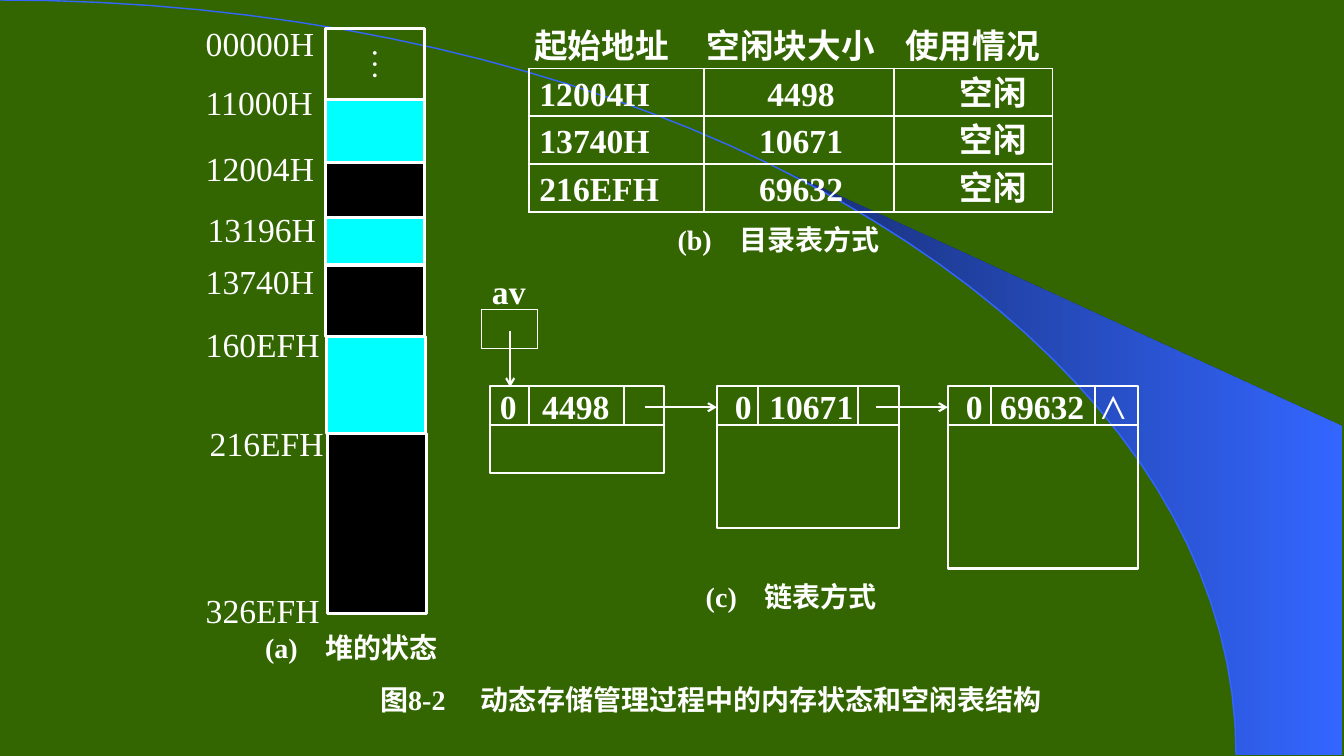
from itertools import pairwise
from lxml import etree
from pptx import Presentation, util as u
from pptx.dml.color import RGBColor
from pptx.enum import shapes, text
from pptx.oxml.ns import qn

COLORS = {"ground": "336600", "ink": "FFFFFF", "used": "00FFFF", "free": "000000",
          "arc": "3366FF", "shade": "182F76"}
COLORS = {role: RGBColor.from_string(value) for role, value in COLORS.items()}
CELL = u.Inches(0.1)
LEFT, CENTER = text.PP_ALIGN.LEFT, text.PP_ALIGN.CENTER
FRAME = {"margin_left": 0, "margin_right": 0, "margin_top": 0, "margin_bottom": 0,
         "vertical_anchor": text.MSO_ANCHOR.MIDDLE}
LABEL = {"size": u.Pt(24), "bold": False, "name": "Times New Roman"}
STRONG = LABEL | {"bold": True}
CAPTION = STRONG | {"size": u.Pt(20)}


def write(frame, content, font, align=LEFT, tabs=()):
    for key, value in (FRAME | {"word_wrap": True}).items():
        setattr(frame, key, value)
    line = frame.paragraphs[0]
    line.alignment = align
    run = line.add_run()
    run.text = content
    for key, value in font.items():
        setattr(run.font, key, value)
    run.font.color.rgb = COLORS["ink"]
    if tabs:
        stops = etree.SubElement(line._p.get_or_add_pPr(), qn("a:tabLst"))
        for tab in tabs:
            etree.SubElement(stops, qn("a:tab"), pos=str(int(tab * CELL)), algn="l")


def block(left, top, width, height, weight, color=None):
    area = slide.shapes.add_shape(shapes.MSO_SHAPE.RECTANGLE,
                                  *(int(n * CELL) for n in (left, top, width, height)))
    area.shadow.inherit = False
    area.line.color.rgb = COLORS["ink"]
    area.line.width = u.Pt(weight)
    if color:
        area.fill.solid()
        area.fill.fore_color.rgb = COLORS[color]
    else:
        area.fill.background()
    return area


deck = Presentation()
deck.slide_width, deck.slide_height = u.Inches(13.33), u.Inches(7.5)
slide = deck.slides.add_slide(deck.slide_layouts[5])
slide.background.fill.solid()
slide.background.fill.fore_color.rgb = COLORS["ground"]

arc = []
for step in range(41):
    t = step / 40
    s = 1 - t
    arc.append((3 * s * s * t * 67.7 + (3 * s * t * t + t ** 3) * 122.6,
                3 * s * t * t * 33.5 + t ** 3 * 74.9))
wedge = [(78.6, 17.3), *arc[18:], (133.1, 74.9), (133.1, 42.3)]
for outline, closed in ((wedge, True), (arc, False)):
    points = [(x * CELL, y * CELL) for x, y in outline]
    builder = slide.shapes.build_freeform(*points[0])
    builder.add_line_segments(points[1:], close=closed)
    sweep = builder.convert_to_shape()
    sweep.shadow.inherit = False
    if closed:
        sweep.line.fill.background()
        sweep.fill.gradient()
        sweep.fill.gradient_angle = 0
        for stop, role in zip(sweep.fill.gradient_stops, ("shade", "arc")):
            stop.color.rgb = COLORS[role]
    else:
        sweep.fill.background()
        sweep.line.color.rgb = COLORS["arc"]
        sweep.line.width = u.Pt(1)

heap_edges = [2.8, 9.9, 16.1, 21.6, 26.3, 33.4, 43, 60.9]
heap_lefts = [32.3] * 5 + [32.4, 32.5]
heap_states = [None] + ["used", "free"] * 3
for (top, bottom), left, state in zip(pairwise(heap_edges), heap_lefts, heap_states):
    segment = block(left, top, 9.8, bottom - top, 2.25, state)
    if state is None:
        write(segment.text_frame, "⋮", LABEL, CENTER)

addresses = [("00000H", 20.4, 2.1), ("11000H", 20.4, 8), ("12004H", 20.4, 14.5),
             ("13196H", 20.6, 20.6), ("13740H", 20.4, 25.7), ("160EFH", 20.4, 32),
             ("216EFH", 20.8, 41.8), ("326EFH", 20.4, 58.4)]
labels = [(name, left, top, 11.8, 4.3, LABEL, ()) for name, left, top in addresses]
labels += [("(a)\t堆的状态", 26.3, 62.3, 20, 3.9, CAPTION, [6]),
           ("(b)\t目录表方式", 67.2, 21.8, 23, 3.9, CAPTION, [6.1]),
           ("(c)\t链表方式", 70, 57.2, 20, 3.9, CAPTION, [5.8]),
           ("起始地址\t空闲块大小\t使用情况", 53, 2.1, 52, 4.7, STRONG, [17.1, 36.8]),
           ("av", 48.8, 26.9, 5, 3.9, STRONG, ())]
for content, left, top, width, height, font, tabs in labels:
    note = slide.shapes.add_textbox(*(int(n * CELL) for n in (left, top, width, height)))
    write(note.text_frame, content, font, tabs=tabs)

free_blocks = [("12004H", "4498", "空闲"), ("13740H", "10671", "空闲"), ("216EFH", "69632", "空闲")]
column_widths = [17.3, 18.9, 15.7]
column_formats = [(LEFT, 1, 30), (CENTER, 0.4, 30), (CENTER, 3.9, 32)]
directory = slide.shapes.add_table(
    3, 3, *(int(n * CELL) for n in (52.5, 6.8, sum(column_widths), 14.2))).table
directory.first_row = directory.horz_banding = False
for column, width in zip(directory.columns, column_widths):
    column.width = int(width * CELL)
for row, values in enumerate(free_blocks):
    for col, (value, (align, indent, spacing)) in enumerate(zip(values, column_formats)):
        entry = directory.cell(row, col)
        write(entry.text_frame, value, STRONG, align)
        entry.text_frame.paragraphs[0].line_spacing = u.Pt(spacing)
        for key, amount in (FRAME | {"margin_left": int(indent * CELL)}).items():
            setattr(entry, key, amount)
        for side in "LRTB":
            border = etree.SubElement(entry._tc.get_or_add_tcPr(), qn(f"a:ln{side}"), w=str(u.Pt(1.5)))
            fill = etree.SubElement(border, qn("a:solidFill"))
            etree.SubElement(fill, qn("a:srgbClr"), val=str(COLORS["ink"]))
        entry.fill.background()

free_nodes = [([48.6, 52.5, 61.9, 65.9], 4.7, "0\t4498", 1, [4.2]),
              ([71.1, 75.2, 85.1, 89.2], 10.2, "0\t10671", 1.8, [3.4]),
              ([94, 98.3, 108.6, 112.9], 14.2, "0\t69632\t", 1.8, [3.4, 13.4])]
separators = []
for edges, depth, fields, indent, tabs in free_nodes:
    width = edges[-1] - edges[0]
    block(edges[0], 42.2, width, depth, 1.5)
    header = block(edges[0], 38.3, width, 3.9, 1.5).text_frame
    write(header, fields, STRONG, tabs=tabs)
    header.margin_left = int(indent * CELL)
    separators += [(x, 38.3, x, 42.2) for x in edges[1:-1]]
write(header, "⋀", LABEL)
header.margin_left = int(indent * CELL)

block(47.8, 30.7, 5.5, 3.9, 0.75)
pointers = [(50.6, 32.8, 50.6, 38.4), (64, 40.4, 71.1, 40.4), (86.9, 40.4, 94, 40.4)]
for ends in separators + pointers:
    link = slide.shapes.add_connector(shapes.MSO_CONNECTOR.STRAIGHT, *(int(n * CELL) for n in ends))
    link.line.color.rgb = COLORS["ink"]
    link.line.width = u.Pt(1.5)
    if ends in pointers:
        etree.SubElement(link.line._get_or_add_ln(), qn("a:tailEnd"), type="arrow")
    etree.SubElement(link._element.spPr, qn("a:effectLst"))

title = slide.shapes.title
for side, length in {"left": 37.7, "top": 67.4, "width": 70, "height": 3.9}.items():
    setattr(title, side, int(length * CELL))
write(title.text_frame, "图8-2\t动态存储管理过程中的内存状态和空闲表结构", CAPTION, tabs=[10])
title.text_frame.auto_size = text.MSO_AUTO_SIZE.NONE

deck.save("out.pptx")
